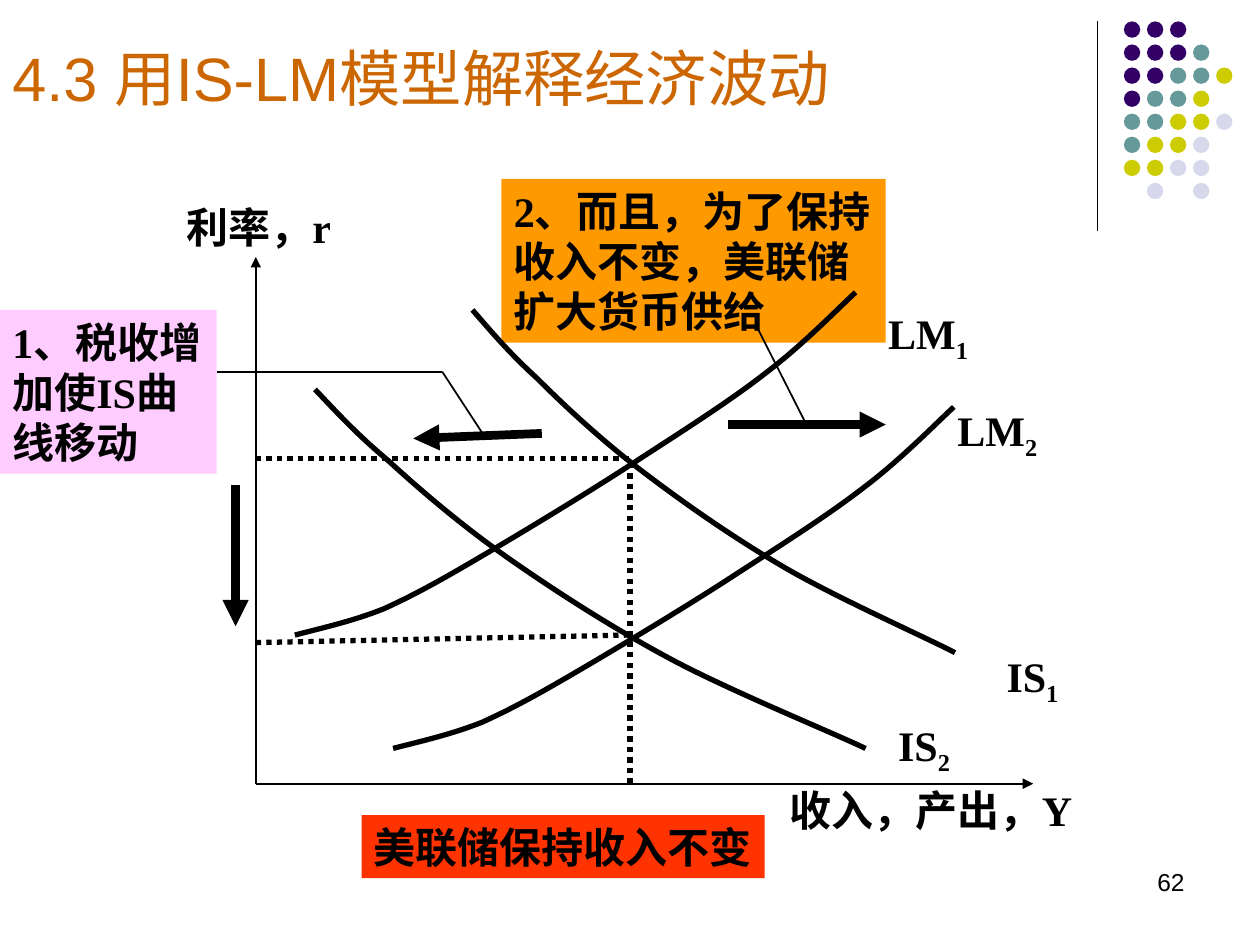
from pptx import Presentation
from pptx.dml.color import RGBColor
from pptx.enum.dml import MSO_LINE
from pptx.enum.shapes import MSO_CONNECTOR, MSO_SHAPE
from pptx.enum.text import MSO_ANCHOR, PP_ALIGN
from pptx.oxml.ns import qn
from pptx.util import Inches, Pt
from lxml import etree

LEFT, RIGHT = PP_ALIGN.LEFT, PP_ALIGN.RIGHT
TOP, MIDDLE = MSO_ANCHOR.TOP, MSO_ANCHOR.MIDDLE
DOTTED = MSO_LINE.ROUND_DOT
SERIF, SANS, CJK = "Times New Roman", "Arial", "Noto Sans CJK SC"

# Content
TITLE = "4.3 用IS-LM模型解释经济波动"
PAGE = "62"
DOT_COLORS = {"P": "330066", "T": "669999", "Y": "CCCC00", "L": "D8D8EC"}
DOT_ROWS = ["PPP", "PPPT", "PPTTY", "PTTY", "TTYYL", "TYYL", "YYLL", " L L"]

# Text, left, top, width, height
AXIS_LABELS = [("利率，r", 1.38, 1.55, 1.65, 0.5),
               ("收入，产出，Y", 6.17, 6.18, 2.97, 0.5)]
# Name, subscript, left, top, width
CURVE_LABELS = [("IS", "1", 7.89, 5.11, 0.87), ("IS", "2", 7.03, 5.66, 0.83),
                ("LM", "1", 6.95, 2.39, 1.02), ("LM", "2", 7.5, 3.16, 1.02)]
# Text, fill, font, wrap, left, top, width, height
NOTES = [
    ("2、而且，为了保持收入不变，美联储扩大货币供给", "FF9900", SERIF, True, 3.98, 1.42, 3.05, 1.3),
    ("1、税收增加使IS曲线移动", "FFCCFF", SERIF, True, 0, 2.46, 1.72, 1.3),
    ("美联储保持收入不变", "FF3300", CJK, False, 2.87, 6.47, 3.2, 0.5),
]

# Diagram lines: x1, y1, x2, y2
ORIGIN = (2.03, 6.22)
AXES = [(*ORIGIN, 2.03, 2.04), (*ORIGIN, 8.2, 6.22)]
GUIDES = [(2.03, 5.1, 5, 5.04), (2.03, 3.64, 5, 3.64), (5, 6.22, 5, 3.71)]
SHIFTS = [(4.3, 3.44, 3.28, 3.48), (5.78, 3.37, 7.03, 3.37), (1.87, 3.85, 1.87, 4.97)]
LEADERS = [(6.4, 3.37, 6.01, 2.6), (1.72, 2.95, 3.51, 2.95), (3.51, 2.95, 3.83, 3.44)]

# Bezier points: a start, then two controls and an end for each segment
IS_POINTS = [(3.75, 2.46), (3.89, 2.62), (4.03, 2.79), (4.26, 3), (4.48, 3.22),
             (4.78, 3.5), (5.11, 3.75), (5.44, 4), (5.81, 4.26), (6.22, 4.5),
             (6.63, 4.74), (7.35, 5.06), (7.58, 5.18)]
LM_POINTS = [(2.34, 5.04), (2.57, 4.98), (2.8, 4.93), (3.05, 4.83), (3.29, 4.72),
             (3.49, 4.61), (3.83, 4.41), (4.17, 4.21), (4.7, 3.89), (5.08, 3.64),
             (5.45, 3.4), (5.81, 3.17), (6.09, 2.95), (6.38, 2.73), (6.68, 2.42),
             (6.79, 2.32)]
# Points, then the start and end each curve is fitted to
CURVES = [(IS_POINTS, (2.5, 3.09), (6.87, 5.94)), (IS_POINTS, (3.75, 2.46), (7.58, 5.18)),
          (LM_POINTS, (2.34, 5.04), (6.79, 2.32)), (LM_POINTS, (3.12, 5.94), (7.57, 3.23))]

prs = Presentation()
prs.slide_width, prs.slide_height = Inches(10), Inches(7.5)
s = prs.slides.add_slide(prs.slide_layouts[6])


def rgb(value):
    return RGBColor.from_string(value)


def add_text(text, x, y, w, h, sub="", fill=None, font=SERIF, size=24, color="000000",
             bold=True, align=LEFT, anchor=TOP, wrap=True):
    sp = s.shapes.add_textbox(Inches(x), Inches(y), Inches(w), Inches(h))
    if fill:
        sp.fill.solid()
        sp.fill.fore_color.rgb = rgb(fill)
    tf = sp.text_frame
    tf.word_wrap, tf.vertical_anchor = wrap, anchor
    p = tf.paragraphs[0]
    p.alignment = align
    for part in filter(None, (text, sub)):
        r = p.add_run()
        r.text = part
        r.font.size, r.font.bold, r.font.name = Pt(size), bold, font
        r.font.color.rgb = rgb(color)
        rPr = r.font._element
        etree.SubElement(rPr, qn("a:ea"), typeface=CJK)
        if part == sub:
            rPr.set("baseline", "-25000")


def add_line(x1, y1, x2, y2, width=1, dash=None, arrow=False):
    line = s.shapes.add_connector(MSO_CONNECTOR.STRAIGHT, Inches(x1), Inches(y1),
                                  Inches(x2), Inches(y2))
    line.line.width = Pt(width)
    line.line.color.rgb = rgb("000000")
    if dash:
        line.line.dash_style = dash
    spPr = line._element.spPr
    if arrow:
        etree.SubElement(spPr.find(qn("a:ln")), qn("a:tailEnd"), type="triangle")
    etree.SubElement(spPr, qn("a:effectLst"))


def add_curve(points, start, end):
    first, last = points[0], points[-1]
    fitted = [tuple(Inches(start[i] + (pt[i] - first[i]) * (end[i] - start[i])
                           / (last[i] - first[i])) for i in (0, 1)) for pt in points]
    builder = s.shapes.build_freeform(*fitted[0])
    builder.add_line_segments(fitted[1:], close=False)
    sp = builder.convert_to_shape()
    # Join each three straight segments into one Bezier segment
    segments = list(sp._element.iter(qn("a:lnTo")))
    for k in range(0, len(segments), 3):
        cubic = etree.Element(qn("a:cubicBezTo"))
        segments[k].addprevious(cubic)
        for segment in segments[k:k + 3]:
            cubic.append(segment[0])
            segment.getparent().remove(segment)
    sp.shadow.inherit = False
    sp.fill.background()
    sp.line.width = Pt(3)
    sp.line.color.rgb = rgb("000000")


# Corner ornament
add_line(8.71, 0.17, 8.71, 1.83, width=0.75)
for row, marks in enumerate(DOT_ROWS):
    for col, mark in enumerate(marks):
        if mark in DOT_COLORS:
            dot = s.shapes.add_shape(MSO_SHAPE.OVAL, Inches(8.92 + col * 0.183),
                                     Inches(0.17 + row * 0.183), Inches(0.13), Inches(0.13))
            dot.shadow.inherit = False
            dot.fill.solid()
            dot.fill.fore_color.rgb = rgb(DOT_COLORS[mark])
            dot.line.fill.background()

# Notes and labels
for text, fill, font, wrap, *box in NOTES:
    add_text(text, *box, fill=fill, font=font, wrap=wrap)
for label in AXIS_LABELS:
    add_text(*label)
for name, sub, x, y, w in CURVE_LABELS:
    add_text(name, x, y, w, 0.56, sub=sub)

# Diagram
for axis in AXES:
    add_line(*axis, arrow=True)
for guide in GUIDES:
    add_line(*guide, width=3, dash=DOTTED)
for leader in LEADERS:
    add_line(*leader)
for curve in CURVES:
    add_curve(*curve)
for shift in SHIFTS:
    add_line(*shift, width=5, arrow=True)

# Title and page number
add_text(TITLE, 0, 0.17, 9, 0.88, font=SANS, size=35, color="CC6600", bold=False, anchor=MIDDLE)
add_text(PAGE, 7.17, 6.83, 2.33, 0.52, font=SANS, size=14, bold=False, align=RIGHT)

prs.save("out.pptx")
